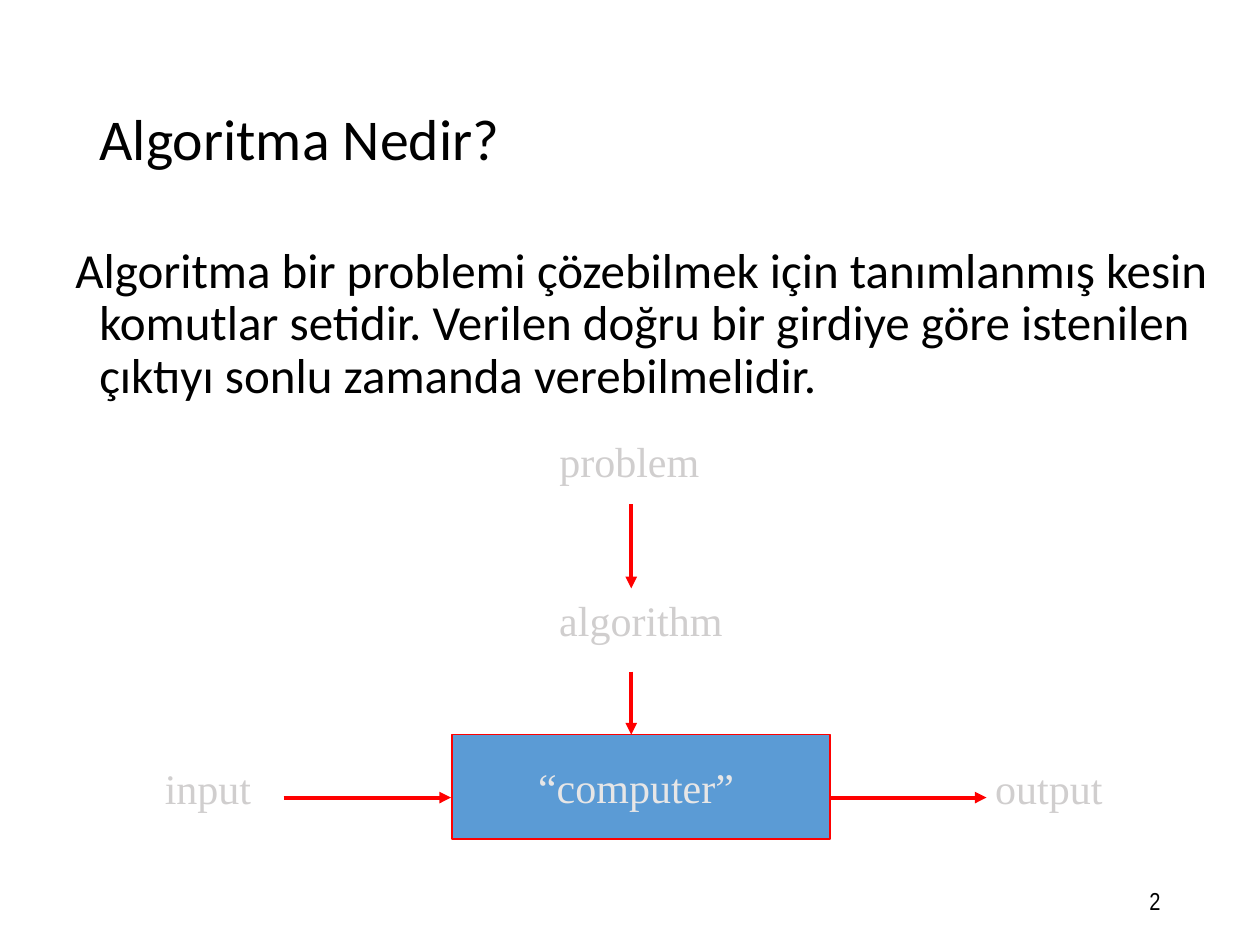
from lxml import etree
from pptx import Presentation
from pptx.dml.color import RGBColor
from pptx.enum.shapes import MSO_CONNECTOR, MSO_SHAPE
from pptx.enum.text import MSO_ANCHOR, PP_ALIGN
from pptx.oxml.ns import qn
from pptx.util import Inches, Pt

LEFT, CENTER, RIGHT = PP_ALIGN.LEFT, PP_ALIGN.CENTER, PP_ALIGN.RIGHT
TOP, MIDDLE = MSO_ANCHOR.TOP, MSO_ANCHOR.MIDDLE
RECT, STRAIGHT = MSO_SHAPE.RECTANGLE, MSO_CONNECTOR.STRAIGHT
HEX = {"ink": "000000", "pale": "E7E6E6", "gray": "D0CECE",
       "blue": "5B9BD5", "red": "FF0000"}


def tint(name):
    return RGBColor.from_string(HEX[name])


def write(frame, text, font="Times New Roman", size=24, color="pale",
          align=LEFT, anchor=TOP, wrap=True, space=None, hang=0, inset=0.05):
    frame.word_wrap = wrap
    frame.vertical_anchor = anchor
    frame.margin_left = frame.margin_right = Inches(0.1)
    frame.margin_top, frame.margin_bottom = Inches(inset), Inches(0.05)
    para = frame.paragraphs[0]
    para.alignment = align
    if space:
        para.line_spacing = space
    if hang:
        props = para._p.get_or_add_pPr()
        props.set("marL", str(Inches(hang)))
        props.set("indent", str(-Inches(hang)))
    run = para.add_run()
    run.text = text
    run.font.name = font
    run.font.size = Pt(size)
    run.font.color.rgb = tint(color)


class Board:
    def __init__(self, slide):
        self.slide = slide
        self.shapes = slide.shapes

    def title(self, text, box, **style):
        shape = self.shapes.title
        shape.left, shape.top, shape.width, shape.height = map(Inches, box)
        write(shape.text_frame, text, **style)

    def label(self, text, box, **style):
        shape = self.shapes.add_textbox(*map(Inches, box))
        write(shape.text_frame, text, **style)

    def block(self, text, box, **style):
        shape = self.shapes.add_shape(RECT, *map(Inches, box))
        shape.shadow.inherit = False
        shape.fill.solid()
        shape.fill.fore_color.rgb = tint("blue")
        shape.line.color.rgb = tint("red")
        shape.line.width = Pt(1)
        write(shape.text_frame, text, **style)

    def arrow(self, *ends):
        link = self.shapes.add_connector(STRAIGHT, *map(Inches, ends))
        link.line.color.rgb = tint("red")
        link.line.width = Pt(2.25)
        etree.SubElement(link.line._get_or_add_ln(), qn("a:tailEnd"), type="triangle")
        etree.SubElement(link._element.spPr, qn("a:effectLst"))


def main():
    deck = Presentation()
    deck.slide_width, deck.slide_height = Inches(10), Inches(7.5)
    board = Board(deck.slides.add_slide(deck.slide_layouts[5]))

    board.title("Algoritma Nedir?", (0.69, 0.4, 8.63, 1.45), font="Calibri",
                size=33, color="ink", anchor=MIDDLE, space=0.9)
    board.label("Algoritma bir problemi çözebilmek için tanımlanmış kesin komutlar "
                "setidir. Verilen doğru bir girdiye göre istenilen çıktıyı sonlu "
                "zamanda verebilmelidir.", (0.5, 1.33, 9.5, 5.61), font="Calibri",
                size=28, color="ink", space=0.9, hang=0.19, inset=0.62)
    board.label("2", (7.06, 6.95, 2.25, 0.4), font="Arial Narrow", size=14,
                color="ink", align=RIGHT, anchor=MIDDLE)

    board.block("“computer” ", (3.59, 5.83, 3, 0.83), align=CENTER,
                anchor=MIDDLE, wrap=False)
    for text, left, top, width in (
        ("problem", 4.34, 3.41, 1.32),
        ("algorithm", 4.34, 4.67, 1.5),
        ("input", 1.21, 6, 0.9),
        ("output", 7.8, 6, 1.06),
    ):
        board.label(text, (left, top, width, 0.48), color="gray", wrap=False)

    axis, row = 5.01, 6.33
    for start, end in ((4, 4.67), (5.33, 5.83)):
        board.arrow(axis, start, axis, end)
    for start, end in ((2.25, 3.58), (6.58, 7.83)):
        board.arrow(start, row, end, row)

    deck.save("out.pptx")


if __name__ == "__main__":
    main()
